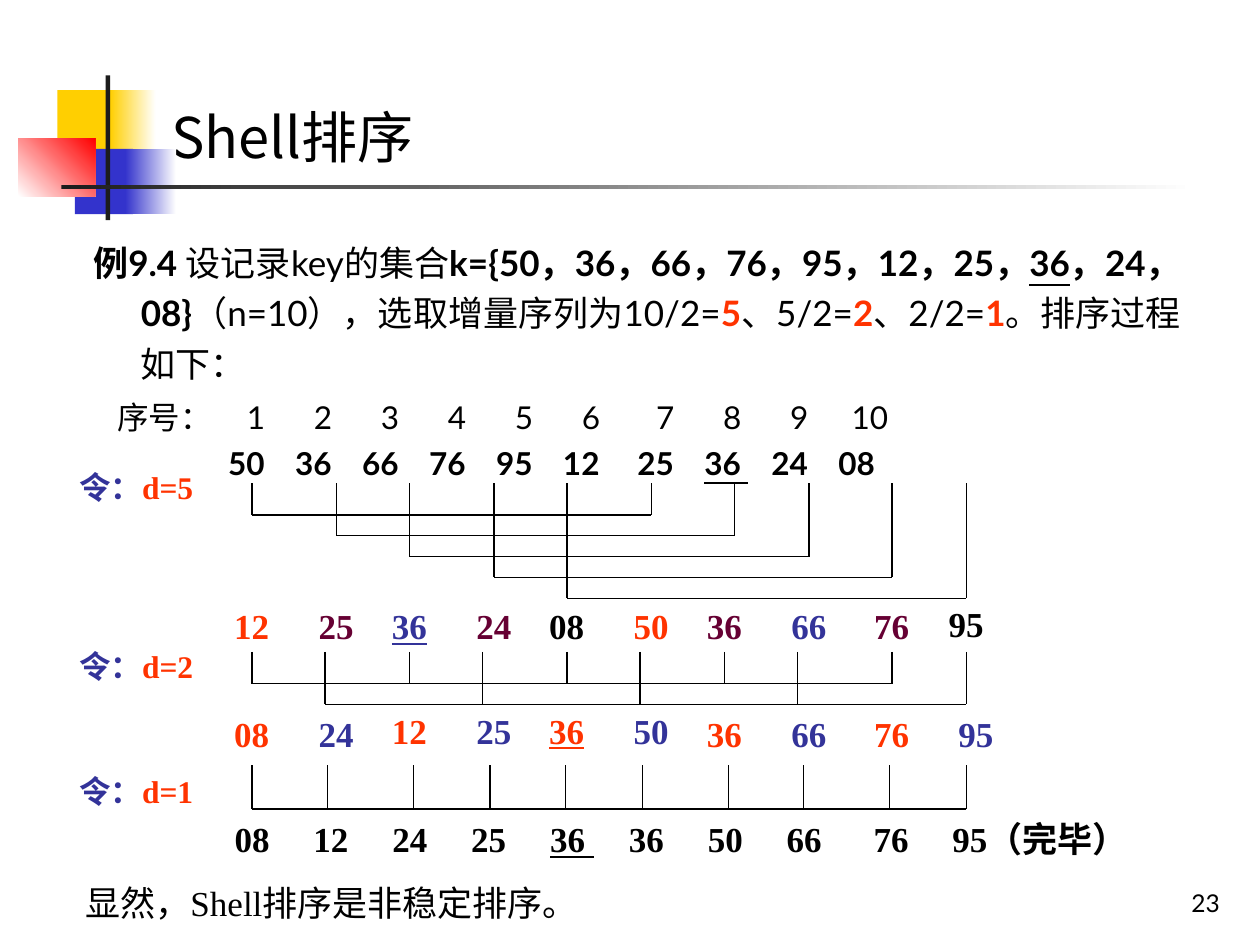
from lxml import etree
from pptx import Presentation
from pptx.dml.color import RGBColor
from pptx.enum.shapes import MSO_CONNECTOR, MSO_SHAPE
from pptx.enum.text import MSO_ANCHOR, PP_ALIGN
from pptx.oxml.ns import qn
from pptx.util import Cm, Pt

RECT, STRAIGHT = MSO_SHAPE.RECTANGLE, MSO_CONNECTOR.STRAIGHT
LEFT, CENTER, RIGHT = PP_ALIGN.LEFT, PP_ALIGN.CENTER, PP_ALIGN.RIGHT
TOP, MIDDLE, BOTTOM = MSO_ANCHOR.TOP, MSO_ANCHOR.MIDDLE, MSO_ANCHOR.BOTTOM

COLORS = {
    "black": "000000", "white": "FFFFFF", "ink": "1C1C1C", "yellow": "FFCF01",
    "blue": "3333CC", "red": "FF0000", "orange": "FF3300", "navy": "333399",
    "plum": "660033",
}
LATO, TIMES, CJK = "Lato", "Times New Roman", "Noto Sans CJK JP"

# Horizontal centres, in cm from the left end of the diagram
VALUE_X = [0, 1.7, 3.18, 4.88, 6.35, 8.05, 9.53, 11.23, 12.9, 14.4]
PAIR_X = [0, 1.7, 3.18, 4.88, 6.35, 8.05, 9.73, 11.23, 12.9, 14.4]
HALF_X = [0, 1.47, 3.18, 4.65, 6.35, 7.82, 9.53, 11, 12.9, 14.4]
UNIT_X = [0, 1.52, 3.25, 4.8, 6.32, 7.87, 9.6, 11.12, 12.85, 14.4]


def color(name):
    return RGBColor.from_string(COLORS[name])


def style_run(run, size, font, shade="black", bold=False, underline=False):
    run.font.size, run.font.name = Pt(size), font
    run.font.bold, run.font.underline = bold, underline
    run.font.color.rgb = color(shade)
    latin = run.font._element.find(qn("a:latin"))
    east_asian = etree.Element(qn("a:ea"), typeface=CJK)
    latin.addnext(east_asian)


def fill_para(para, spans, size, font, align=LEFT):
    """Each span is (text, colour, bold, underline); the tail may be left out."""
    para.alignment = align
    for text, *look in spans:
        run = para.add_run()
        run.text = text
        style_run(run, size, font, *look)


def add_text(page, box, anchor=TOP):
    frame = page.shapes.add_textbox(*map(Cm, box)).text_frame
    frame.word_wrap = True
    frame.vertical_anchor = anchor
    return frame


def set_tabs(para, stops):
    tabs = etree.SubElement(para._p.get_or_add_pPr(), qn("a:tabLst"))
    for stop in stops:
        etree.SubElement(tabs, qn("a:tab"), pos=str(Cm(stop)), algn="l")


def add_block(page, box, start, end=None, angle=0):
    block = page.shapes.add_shape(RECT, *map(Cm, box))
    block.shadow.inherit = False
    block.line.fill.background()
    if end is None:
        block.fill.solid()
        block.fill.fore_color.rgb = color(start)
        return
    block.fill.gradient()
    block.fill.gradient_angle = angle
    for stop, name in zip(block.fill.gradient_stops, (start, end)):
        stop.color.rgb = color(name)


def add_line(page, x1, y1, x2, y2):
    line = page.shapes.add_connector(STRAIGHT, *map(Cm, (x1, y1, x2, y2)))
    line.line.color.rgb = color("black")
    line.line.width = Pt(0.75)
    etree.SubElement(line._element.spPr, qn("a:effectLst"))


def draw_ornament(page, left, top):
    for x, y, width, height, *paint in (
        (0.79, 0.3, 1.22, 1.32, "yellow"),
        (1.85, 0.3, 0.92, 1.32, "yellow", "white"),
        (1.14, 1.48, 1.17, 1.32, "blue"),
        (2.16, 1.48, 1.02, 1.32, "blue", "white"),
        (0, 1.27, 1.55, 1.17, "white", "red", 45),
        (1.76, 0, 0.09, 2.92, "ink"),
        (0.87, 2.21, 22.86, 0.08, "ink", "white"),
    ):
        add_block(page, (left + x, top + y, width, height), *paint)


def write_title(page, box):
    title = page.shapes.title
    title.left, title.top, title.width, title.height = map(Cm, box)
    title.text_frame.text = "Shell排序"
    title.text_frame.vertical_anchor = MIDDLE
    para = title.text_frame.paragraphs[0]
    para.alignment = LEFT
    style_run(para.runs[0], 32, CJK)


def write_example(page, box):
    para = add_text(page, box).paragraphs[0]
    fill_para(para, [
        ("例9.4 ", "black", True), ("设记录key的集合",),
        ("k={50，36，66，76，95，12，25，", "black", True),
        ("36", "black", True, True), ("，24，08}", "black", True),
        ("（n=10），选取增量序列为10/2=",), ("5", "orange", True),
        ("、5/2=",), ("2", "orange", True),
        ("、2/2=",), ("1", "orange", True), ("。排序过程如下：",),
    ], 20, LATO)
    para.line_spacing, para.space_before = 1.2, Pt(5)
    properties = para._p.get_or_add_pPr()
    properties.set("marL", str(Cm(0.96)))
    properties.set("indent", str(-Cm(0.96)))


def write_keys(page, box):
    frame = add_text(page, box)
    stops = [2.24 + 1.35 * i + (0.15 if i > 5 else 0) for i in range(10)]
    numbers = "\t".join(["序号："] + [str(i) for i in range(1, 11)])
    fill_para(frame.paragraphs[0], [(numbers,)], 18, LATO)
    set_tabs(frame.paragraphs[0], [stop + 0.38 for stop in stops[:9]] + [stops[9] + 0.27])
    para = frame.add_paragraph()
    para.space_before = Pt(4.5)
    fill_para(para, [
        ("\t50\t36\t66\t76\t95\t12\t25\t", "black", True),
        ("36 ", "black", True, True), ("\t24\t08", "black", True),
    ], 18, LATO)
    set_tabs(para, stops)


def write_step(page, box, gap):
    para = add_text(page, box).paragraphs[0]
    fill_para(para, [("令：", "navy", True), (f"d={gap}", "orange", True)],
              18, TIMES, CENTER)


def write_values(page, left, top, values, shades, underlined, moved):
    """moved maps a column to its (x, y) offset from the row."""
    for i, (value, shade) in enumerate(zip(values.split(), shades)):
        dx, dy = moved.get(i, (0, 0))
        box = (left + VALUE_X[i] - 0.64 + dx, top + dy, 1.27, 1.12)
        fill_para(add_text(page, box).paragraphs[0],
                  [(value, shade, True, i == underlined)], 20, TIMES, CENTER)


def draw_comb(page, left, top, teeth, depth):
    for x in teeth:
        add_line(page, left + x, top, left + x, top + depth)
    add_line(page, left + teeth[0], top + depth, left + teeth[-1], top + depth)


def draw_passes(page, left, top):
    # Gap 5: five pairs, each bracket deeper than the one before
    for i in range(5):
        draw_comb(page, left, top, PAIR_X[i::5], 0.64 + 0.42 * i)
    write_values(page, left, top + 2.33, "12 25 36 24 08 50 36 66 76 95",
                 ["orange", "plum", "navy", "plum", "black"]
                 + ["orange", "plum", "navy", "plum", "black"],
                 2, {9: (0, -0.05)})
    # Gap 2: odd and even positions
    for i in range(2):
        draw_comb(page, left, top + 3.4, HALF_X[i::2], 0.64 + 0.42 * i)
    write_values(page, left, top + 4.49, "08 24 12 25 36 50 36 66 76 95",
                 ["orange", "navy"] * 5, 4,
                 {**{i: (0, -0.05) for i in range(2, 6)}, 9: (0.2, 0)})
    # Gap 1: the whole row
    draw_comb(page, left, top + 5.69, UNIT_X, 0.88)
    # Step labels
    for gap, y in ((5, -0.42), (2, 3.17), (1, 5.69)):
        write_step(page, (left - 4.24, top + y, 3.81, 1.02), gap)


def write_result(page, box):
    frame = add_text(page, box)
    para = frame.paragraphs[0]
    fill_para(para, [
        ("\t08\t12\t24\t25\t", "black", True), ("36 ", "black", True, True),
        ("\t36\t50\t66\t76\t95（完毕）", "black", True),
    ], 20, TIMES)
    set_tabs(para, [3.01 + 1.59 * i + (0.16 if i > 7 else 0) for i in range(10)])
    para = frame.add_paragraph()
    para.space_before = Pt(12.5)
    fill_para(para, [("显然，Shell排序是非稳定排序。",)], 20, TIMES)


def write_page_number(page, box):
    fill_para(add_text(page, box, BOTTOM).paragraphs[0], [("23",)], 14, LATO, RIGHT)


def main():
    deck = Presentation()
    deck.slide_width, deck.slide_height = Cm(25.4), Cm(19.05)
    page = deck.slides.add_slide(deck.slide_layouts[5])
    draw_ornament(page, 0.37, 1.52)
    write_title(page, (3.2, 1.93, 22.2, 1.63))
    write_example(page, (1.63, 4.57, 23.06, 3.43))
    write_keys(page, (2.11, 7.9, 21.59, 2.06))
    draw_passes(page, 5.08, 9.74)
    write_result(page, (1.47, 16.36, 23.01, 2.39))
    write_page_number(page, (19.56, 17.35, 5.28, 1.27))
    deck.save("out.pptx")


if __name__ == "__main__":
    main()
